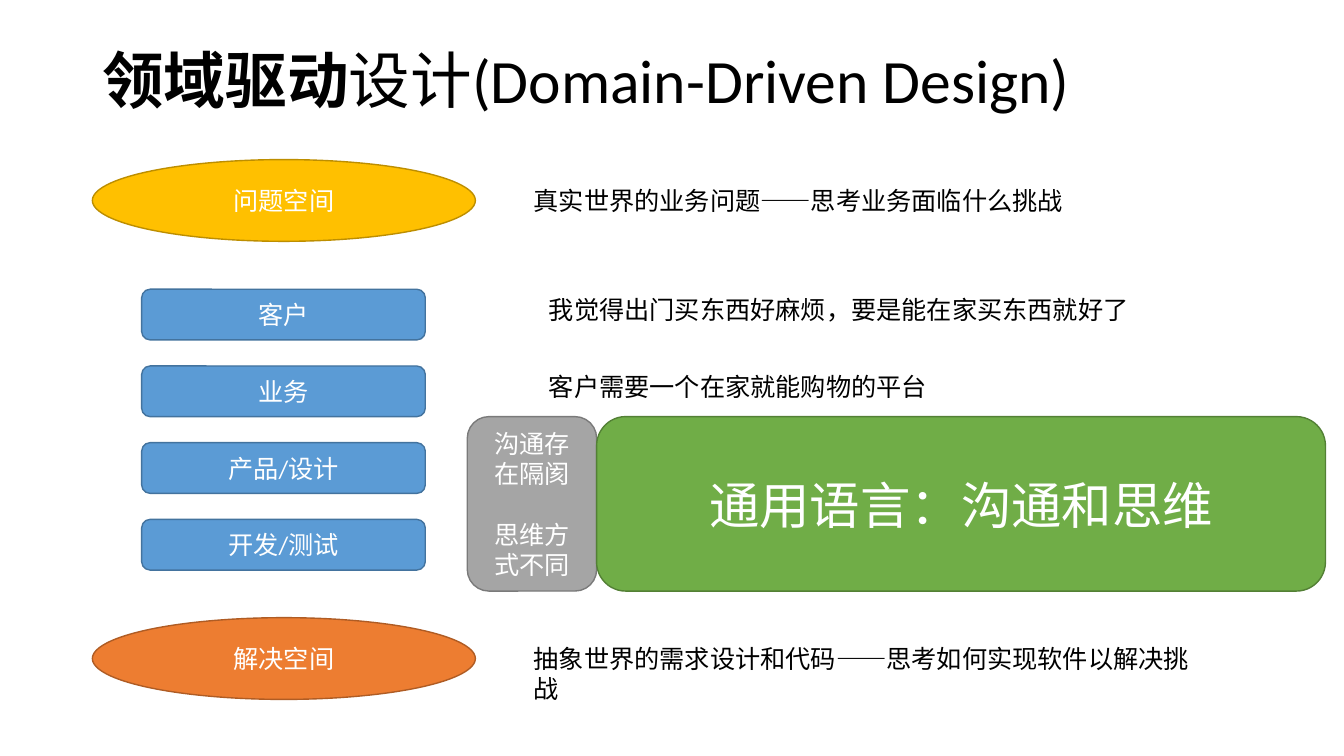
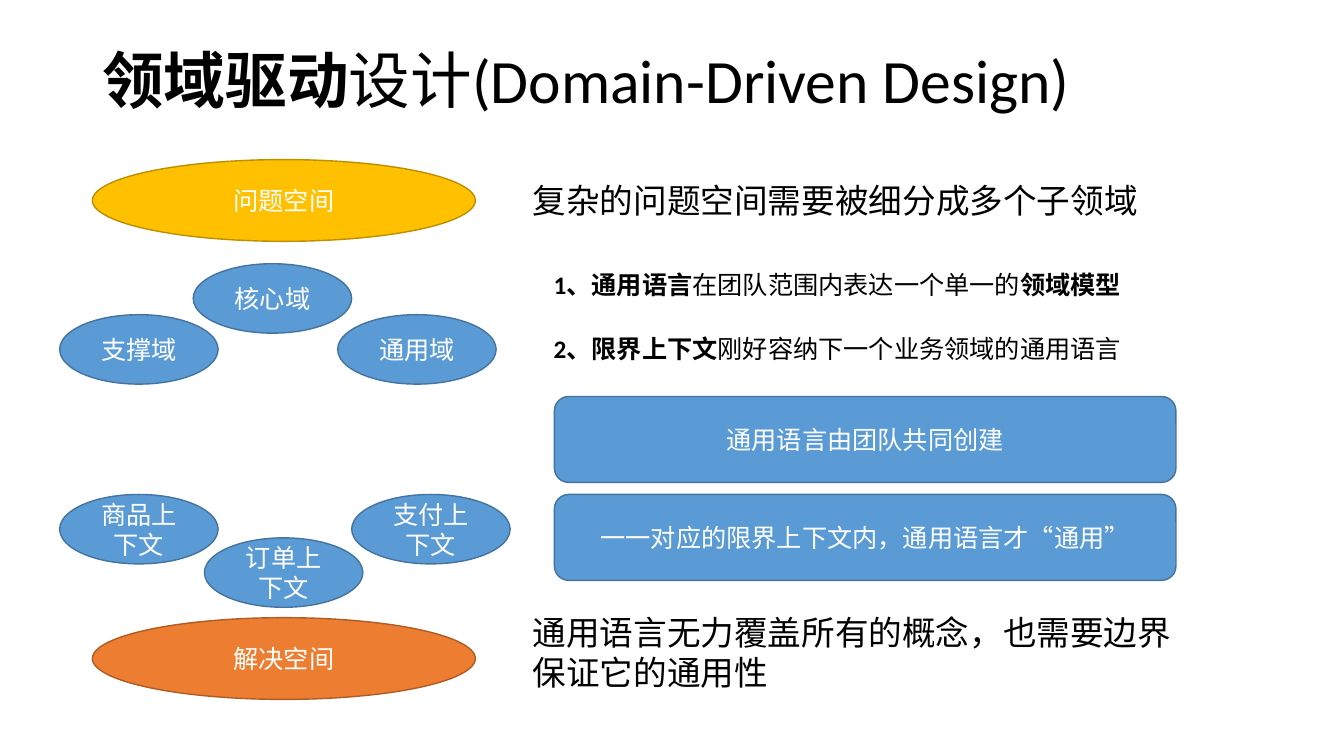
from pptx import Presentation
from pptx.dml.color import RGBColor
from pptx.enum.lang import MSO_LANGUAGE_ID
from pptx.enum.shapes import MSO_SHAPE
from pptx.enum.text import MSO_ANCHOR, PP_ALIGN
from pptx.util import Pt

FONT = "Calibri"
INK = {"black": "000000", "white": "FFFFFF"}
# Each style is a fill and its darker outline.
STYLE = {
    "gold": ("FFC000", "BD8E00"),
    "orange": ("ED7D31", "AF5C24"),
    "blue": ("5B9BD5", "43739E"),
    "gray": ("A5A5A5", "7A7A7A"),
    "green": ("70AD47", "538035"),
}


def tint(name):
    return RGBColor.from_string(name)


def write(shape, text, size=18, ink="black", align=PP_ALIGN.LEFT,
          anchor=MSO_ANCHOR.TOP, line=None, gap=0):
    """Fill the shape with text: each line is a paragraph, *stars* mark bold."""
    frame = shape.text_frame
    frame.word_wrap = True
    frame.vertical_anchor = anchor
    for row, part in enumerate(text.split("\n")):
        para = frame.add_paragraph() if row else frame.paragraphs[0]
        para.alignment = align
        if line:
            para.line_spacing = line
        if row:
            para.space_before = Pt(gap)
        for turn, bit in enumerate(part.split("*")):
            if not bit:
                continue
            run = para.add_run()
            run.text = bit
            font = run.font
            font.name, font.size = FONT, Pt(size)
            font.bold = turn % 2 == 1
            font.color.rgb = tint(INK[ink])
            font.language_id = MSO_LANGUAGE_ID.SIMPLIFIED_CHINESE


def label(slide, text, left, top, width=500, height=29, **form):
    box = slide.shapes.add_textbox(Pt(left), Pt(top), Pt(width), Pt(height))
    write(box, text, **form)


def block(slide, kind, text, style, left, top, width, height, **form):
    shape = slide.shapes.add_shape(
        kind, Pt(left), Pt(top), Pt(width), Pt(height))
    shape.shadow.inherit = False
    fill, edge = STYLE[style]
    shape.fill.solid()
    shape.fill.fore_color.rgb = tint(fill)
    shape.line.color.rgb = tint(edge)
    shape.line.width = Pt(1)
    write(shape, text, ink="white", align=PP_ALIGN.CENTER,
          anchor=MSO_ANCHOR.MIDDLE, **form)


def oval(slide, text, style, left, top, width=113.2, height=49.6):
    block(slide, MSO_SHAPE.OVAL, text, style, left, top, width, height)


def card(slide, text, style, left, top, width, height, **form):
    block(slide, MSO_SHAPE.ROUNDED_RECTANGLE, text, style,
          left, top, width, height, **form)


def start(deck):
    """Add a slide with the shared title and the two spaces."""
    slide = deck.slides.add_slide(deck.slide_layouts[6])
    label(slide, "*领域驱动*设计(Domain-Driven Design)", 66, 18, 828, 83.5,
          size=44, anchor=MSO_ANCHOR.MIDDLE, line=0.9)
    oval(slide, "问题空间", "gold", 66, 114, 273.6, 58.4)
    oval(slide, "解决空间", "orange", 66, 441.2, 273.6, 58.4)
    return slide


def roles(deck):
    slide = start(deck)
    label(slide, "真实世界的业务问题——思考业务面临什么挑战", 374.2, 128.8)
    label(slide, "抽象世界的需求设计和代码——思考如何实现软件以解决挑战",
          374.2, 456)
    for row, role in enumerate(("客户", "业务", "产品/设计", "开发/测试")):
        card(slide, role, "blue", 101.2, 206.6 + row * 54.8, 202.6, 36.2)
    label(slide, "我觉得出门买东西好麻烦，要是能在家买东西就好了", 385, 206.6)
    label(slide, "客户需要一个在家就能购物的平台", 385, 261.4)
    card(slide, "沟通存在隔阂\n思维方式不同", "gray",
         333.8, 297.6, 92.4, 124.6, gap=21.8)
    card(slide, "通用语言：沟通和思维", "green",
         426.2, 297.6, 520.6, 124.6, size=36)


def realms(deck):
    slide = start(deck)
    label(slide, "复杂的问题空间需要被细分成多个子领域", 373.5, 125,
          size=24, height=36)
    label(slide, "通用语言无力覆盖所有的概念，也需要边界保证它的通用性",
          373.5, 433.6, 488, 65.4, size=24)
    for text, left, top in (
            ("核心域", 138, 188.4), ("支撑域", 42.6, 224.8),
            ("通用域", 241.2, 224.8), ("订单上下文", 146, 384.2),
            ("商品上下文", 42.6, 353.2), ("支付上下文", 251.2, 353.2)):
        oval(slide, text, "blue", left, top)
    label(slide, "*1、通用语言*在团队范围内表达一个单一的*领域模型*",
          388.4, 188.6, 421)
    label(slide, "*2、限界上下文*刚好容纳下一个业务领域的通用语言",
          388.4, 234.8, 421)
    for row, text in enumerate(("通用语言由团队共同创建",
                                "一一对应的限界上下文内，通用语言才“通用”")):
        card(slide, text, "blue", 396, 283.2 + row * 70, 444, 61.4)


def main():
    deck = Presentation()
    deck.slide_width, deck.slide_height = Pt(960), Pt(540)
    roles(deck)
    realms(deck)
    deck.save("out.pptx")


if __name__ == "__main__":
    main()
